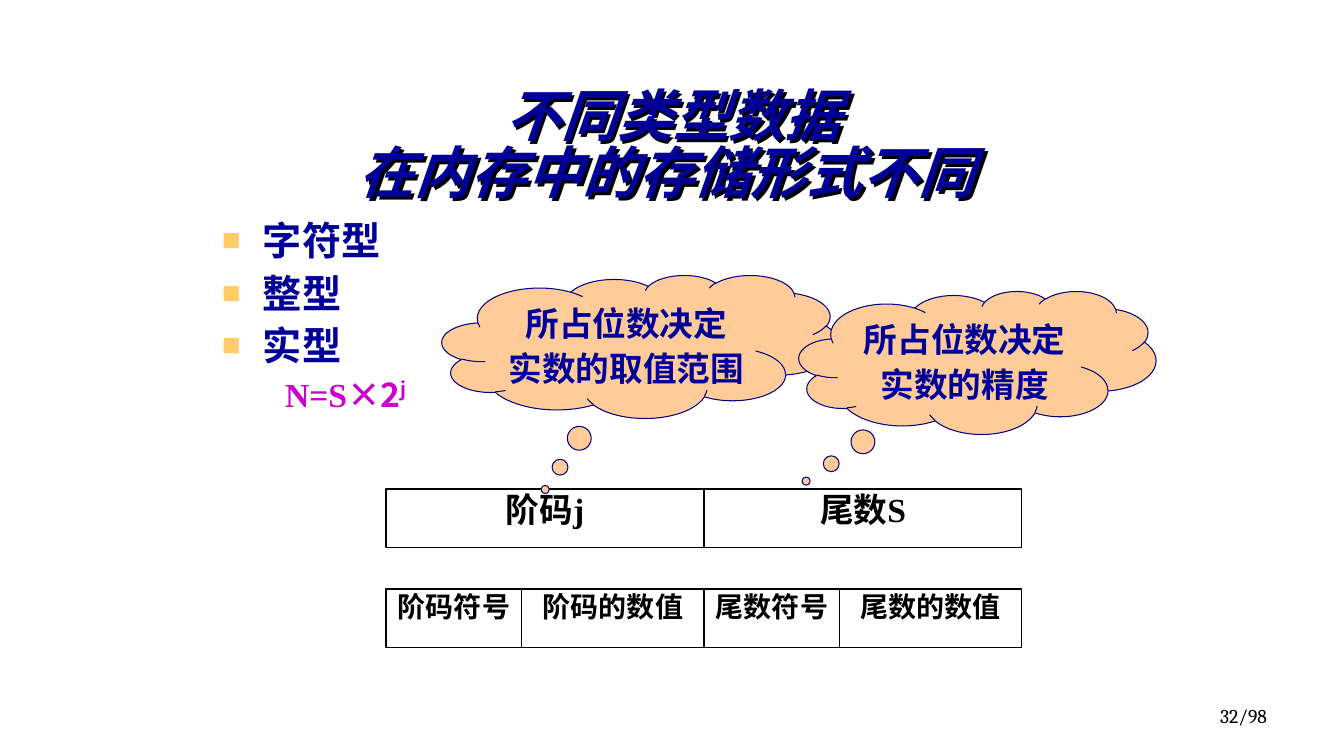
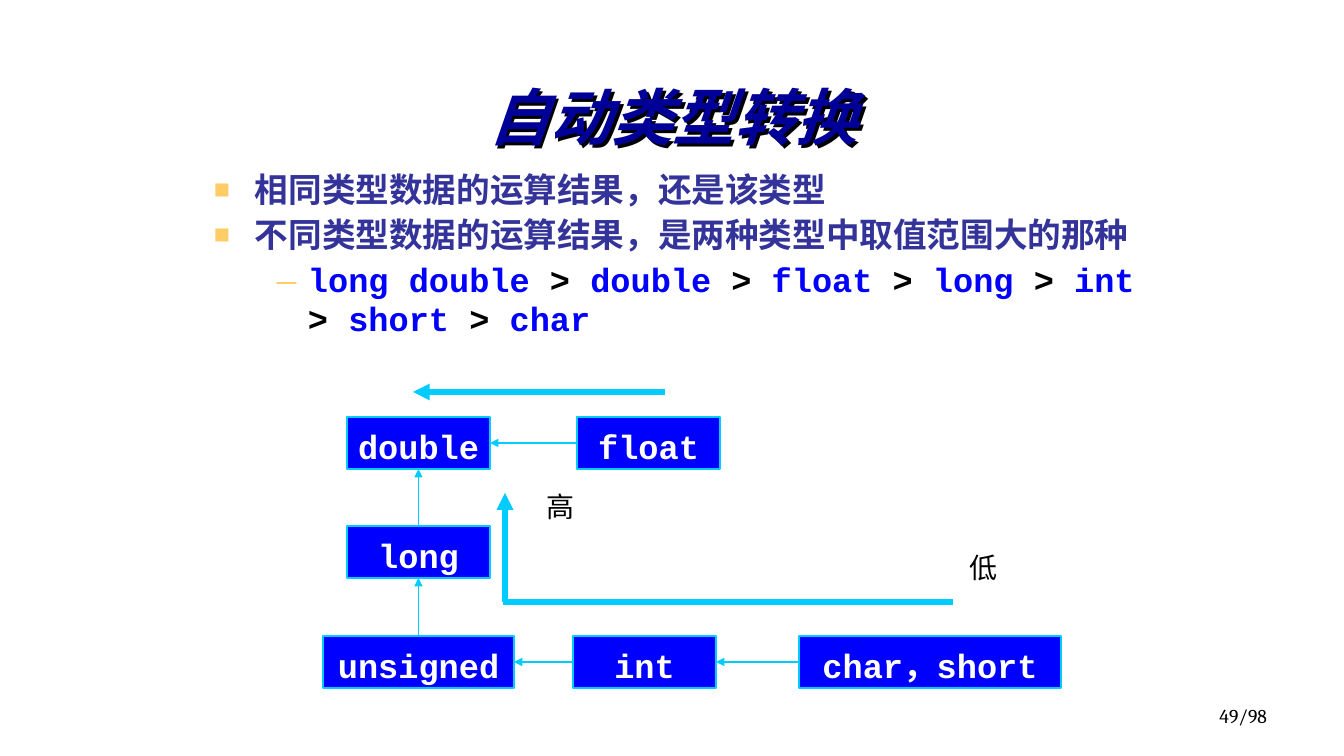
from dataclasses import dataclass, field
from typing import Any, Optional

from lxml import etree
from pptx import Presentation
from pptx import util as u
from pptx.dml.color import RGBColor
from pptx.enum import shapes, text
from pptx.oxml.ns import qn

PX = 914400 / 100.8
COLORS = {
    "navy": "000099", "outline": "000080", "indigo": "333399", "blue": "0000FF",
    "cyan": "00CCFF", "peach": "FFCC99", "amber": "FFCC66", "magenta": "CC00CC",
    "black": "000000", "white": "FFFFFF",
}
SERIF, MONO, HAN, FOLIO = "Times New Roman", "Courier New", "Noto Sans CJK SC", "Cambria"
CENTER, RIGHT = text.PP_ALIGN.CENTER, text.PP_ALIGN.RIGHT
TOP, MIDDLE = text.MSO_ANCHOR.TOP, text.MSO_ANCHOR.MIDDLE
RECT, CLOUD = shapes.MSO_SHAPE.RECTANGLE, shapes.MSO_SHAPE.CLOUD_CALLOUT


@dataclass(frozen=True)
class Style:
    size: int
    color: str = "black"
    font: str = SERIF
    bold: bool = True
    italic: bool = False
    raised: bool = False


@dataclass(frozen=True)
class Bullet:
    char: str
    percent: int


@dataclass(frozen=True)
class Para:
    runs: list[tuple[str, Style]]
    align: Optional[Any] = None
    pitch: Optional[float] = None
    before: float = 0
    margin: int = 0
    hang: int = 0
    bullet: Optional[Bullet] = None


@dataclass(frozen=True)
class Box:
    x: int
    y: int
    w: int
    h: int


@dataclass(frozen=True)
class Look:
    kind: Any = None
    fill: Optional[str] = None
    line: Optional[str] = None
    weight: float = 1
    anchor: Any = TOP
    insets: tuple[int, int, int, int] = (10, 5, 10, 5)
    adjust: tuple[float, ...] = field(default=())


SQUARE, DASH = Bullet("■", 80), Bullet("–", 115)
CELL = Look(RECT, "white", "black", 0.75, insets=(5, 0, 5, 0))
NODE = Look(RECT, "blue", "cyan", anchor=MIDDLE, insets=(0, 5, 0, 0))
TITLE = Look(anchor=MIDDLE, insets=(10, 17, 10, 5))
BODY = Look(insets=(10, 8, 10, 5))


def px(value: float) -> u.Emu:
    return u.Emu(round(value * PX))


def rgb(name: str) -> RGBColor:
    return RGBColor.from_string(COLORS[name])


def apply(target: Any, values: dict[str, Any]) -> None:
    for name, value in values.items():
        setattr(target, name, value)


def sub(parent: Any, tag: str, **attributes: str) -> Any:
    return etree.SubElement(parent, qn(tag), attributes)


def add_run(paragraph: Any, words: str, style: Style) -> None:
    run = paragraph.add_run()
    run.text = words
    apply(run.font, {"size": u.Pt(style.size), "bold": style.bold,
                     "italic": style.italic, "name": style.font})
    run.font.color.rgb = rgb(style.color)
    properties = run.font._element
    sub(properties, "a:ea", typeface=HAN)
    if style.raised:
        properties.set("baseline", "30000")


def write(frame: Any, paras: list[Para]) -> None:
    for index, para in enumerate(paras):
        paragraph = frame.add_paragraph() if index else frame.paragraphs[0]
        properties = paragraph._p.get_or_add_pPr()
        properties.set("marL", str(px(para.margin)))
        properties.set("indent", str(px(-para.hang)))
        if para.bullet:
            sub(sub(properties, "a:buClr"), "a:srgbClr", val=COLORS["amber"])
            sub(properties, "a:buSzPct", val=str(para.bullet.percent * 1000))
            sub(properties, "a:buFont", typeface=SERIF)
            sub(properties, "a:buChar", char=para.bullet.char)
        else:
            sub(properties, "a:buNone")
        apply(paragraph, {
            "alignment": para.align,
            "line_spacing": u.Pt(para.pitch) if para.pitch else None,
            "space_before": u.Pt(para.before if index else 0),
        })
        for words, style in para.runs:
            if "\n" in words:
                first, words = words.split("\n")
                add_run(paragraph, first, style)
                paragraph.add_line_break()
            add_run(paragraph, words, style)


def add_box(slide: Any, box: Box, look: Look, paras: list[Para]) -> Any:
    place = [px(v) for v in (box.x, box.y, box.w, box.h)]
    if look.kind is None:
        shape = slide.shapes.add_textbox(*place)
    else:
        shape = slide.shapes.add_shape(look.kind, *place)
        shape.shadow.inherit = False
        if look.line:
            shape.line.color.rgb = rgb(look.line)
            shape.line.width = u.Pt(look.weight)
        else:
            shape.line.fill.background()
    if look.fill:
        shape.fill.solid()
        shape.fill.fore_color.rgb = rgb(look.fill)
    for index, value in enumerate(look.adjust):
        shape.adjustments[index] = value
    sides = ("margin_left", "margin_top", "margin_right", "margin_bottom")
    apply(shape.text_frame, {"word_wrap": True, "vertical_anchor": look.anchor,
                             **{s: px(v) for s, v in zip(sides, look.insets)}})
    write(shape.text_frame, paras)
    return shape


def add_line(slide: Any, start: tuple[int, int], end: tuple[int, int],
             weight: float, arrow: bool = True) -> Any:
    line = slide.shapes.add_connector(shapes.MSO_CONNECTOR.STRAIGHT,
                                      *(px(v) for v in (*start, *end)))
    line.line.color.rgb = rgb("cyan")
    line.line.width = u.Pt(weight)
    if arrow:
        sub(line.line._get_or_add_ln(), "a:tailEnd", type="triangle")
    sub(line._element.spPr, "a:effectLst")
    return line


def listed(runs: list[tuple[str, Style]], bullet: Optional[Bullet] = SQUARE,
           level: int = 0) -> Para:
    """A body paragraph with the deck's line pitch and indents."""
    size = runs[0][1].size
    margin, hang = ((41, 41), (94, 31))[level]
    return Para(runs, pitch=round(size * 1.14, 1), before=size / 5,
                margin=margin, hang=hang, bullet=bullet)


def start_slide(deck: Any, title: str, box: Box, size: int, page: int) -> Any:
    """A blank slide with the shared shadowed title and page number."""
    slide = deck.slides.add_slide(deck.slide_layouts[6])
    add_box(slide, Box(964, 699, 313, 52), Look(),
            [Para([(f"{page}/98", Style(14, font=FOLIO, bold=False))], RIGHT)])
    heading = add_box(slide, box, TITLE, [
        Para([(title, Style(size, "navy", italic=True))], CENTER, pitch=round(size * 1.02, 1))])
    effects = sub(heading._element.spPr, "a:effectLst")
    shadow = sub(effects, "a:outerShdw", dist="35921", dir="2700000", algn="ctr", rotWithShape="0")
    sub(shadow, "a:srgbClr", val=COLORS["black"])
    return slide


def storage_slide(deck: Any) -> None:
    slide = start_slide(deck, "不同类型数据\n在内存中的存储形式不同 ", Box(243, 95, 860, 93), 40, 32)

    # Type list and formula
    formula = Style(24, "magenta")
    formula_han = Style(24, "magenta", HAN)
    exponent = Style(24, "magenta", HAN, raised=True)
    types = [listed([(name, Style(28, "navy"))]) for name in ("字符型", "整型", "实型")]
    add_box(slide, Box(212, 211, 857, 254), BODY, types + [
        listed([("N=S", formula), ("×2", formula_han), ("j", exponent)], None, 1)])

    # Memory layout: detailed fields, then the two halves
    rows = [
        (589, 20, [("阶码符号", 136), ("阶码的数值", 182), ("尾数符号", 136), ("尾数的数值", 182)]),
        (489, 24, [("阶码j", 318), ("尾数S", 318)]),
    ]
    for y, size, fields in rows:
        x = 386
        for name, width in fields:
            add_box(slide, Box(x, y, width, 59), CELL, [Para([(name, Style(size))], CENTER)])
            x += width

    # Thought clouds
    clouds = [
        (Box(442, 275, 397, 143), (-0.24, 1.0), "实数的取值范围"),
        (Box(799, 291, 357, 143), (-0.48, 0.83), "实数的精度"),
    ]
    for box, tail, effect in clouds:
        look = Look(CLOUD, "peach", "outline", 0.75, insets=(5, 8, 5, 5), adjust=tail)
        add_box(slide, box, look, [
            Para([(words, Style(24, "navy"))], CENTER, pitch=27.4, before=4.8)
            for words in ("所占位数决定", effect)])


def conversion_slide(deck: Any) -> None:
    slide = start_slide(deck, "自动类型转换", Box(100, 69, 1146, 93), 44, 49)

    # Rules and ranking
    rule, code, sign = Style(24, "indigo"), Style(24, "blue", MONO), Style(24, font=MONO)
    ranking: list[tuple[str, Style]] = []
    for name in ("long double", "double", "float", "long", "int", "short", "char"):
        if ranking:
            ranking.append((" > ", sign))
        ranking.append((name, code))
    add_box(slide, Box(204, 163, 945, 222), BODY, [
        listed([("相同类型数据的运算结果，还是该类型", rule)]),
        listed([("不同类型数据的运算结果，是两种类型中取值范围大的那种", rule)]),
        listed(ranking, DASH, 1)])

    # Type nodes
    places = {
        "double": (347, 417, 143), "float": (577, 417, 143), "long": (347, 526, 143),
        "unsigned": (323, 636, 191), "int": (573, 636, 143), "char，short": (799, 636, 262),
    }
    nodes = {
        name: add_box(slide, Box(x, y, w, 52), NODE,
                      [Para([(name, Style(24, "white", MONO))], CENTER, pitch=30)])
        for name, (x, y, w) in places.items()
    }

    # Conversions: upward from top to bottom side, leftward from left to right side
    up, left = (0, 2), (1, 3)
    for source, target, (out, into) in [
        ("long", "double", up), ("unsigned", "long", up), ("int", "unsigned", left),
        ("char，short", "int", left), ("float", "double", left),
    ]:
        link = add_line(slide, (0, 0), (0, 0), 1)
        link.begin_connect(nodes[source], out)
        link.end_connect(nodes[target], into)

    # Direction from low to high
    add_line(slide, (953, 602), (503, 602), 4, arrow=False)
    add_line(slide, (505, 602), (505, 493), 4)
    add_line(slide, (665, 392), (413, 392), 4)
    for level, box, look in [
        ("低", Box(908, 546, 151, 43), Look(RECT, "white", anchor=MIDDLE)),
        ("高", Box(498, 485, 126, 43), Look(anchor=MIDDLE)),
    ]:
        add_box(slide, box, look, [Para([(level, Style(20, bold=False))], CENTER)])


def main() -> None:
    deck = Presentation()
    deck.slide_width, deck.slide_height = px(1344), px(756)
    storage_slide(deck)
    conversion_slide(deck)
    deck.save("out.pptx")


if __name__ == "__main__":
    main()
